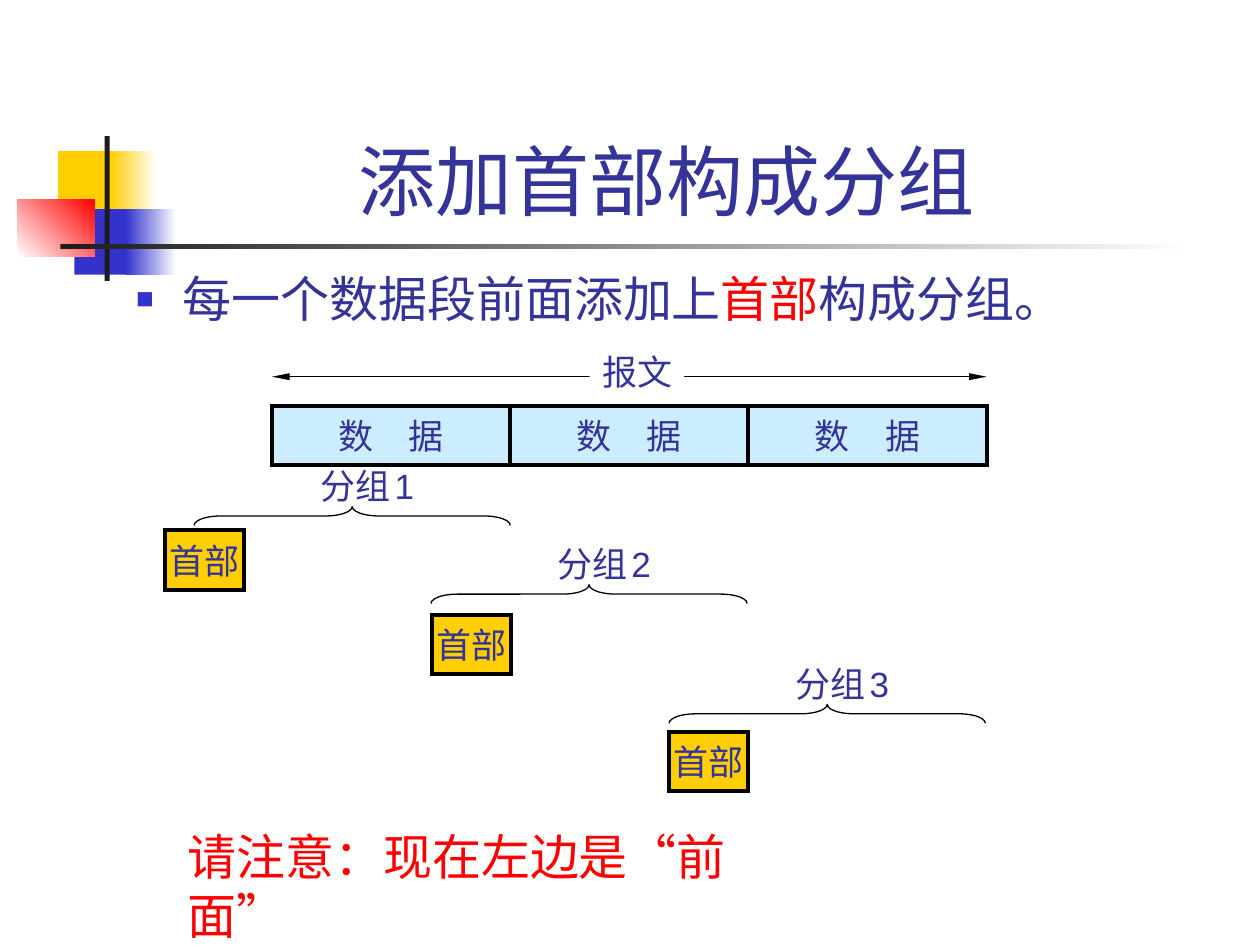
from dataclasses import dataclass
from typing import Optional

from lxml import etree
from pptx import Presentation
from pptx import util as u
from pptx.dml.color import RGBColor
from pptx.enum import shapes, text
from pptx.oxml import ns

NAVY = RGBColor(0x33, 0x33, 0x99)
BLUE = RGBColor(0x33, 0x33, 0xCC)
RED = RGBColor(0xFF, 0x00, 0x00)
YELLOW = RGBColor(0xFF, 0xCF, 0x01)
PALE_BLUE = RGBColor(0xCC, 0xEC, 0xFF)
CHARCOAL = RGBColor(0x1C, 0x1C, 0x1C)
BLACK = RGBColor(0, 0, 0)
WHITE = RGBColor(0xFF, 0xFF, 0xFF)

SEGMENT_LEFT, SEGMENT_TOP, SEGMENT_WIDTH = 2.16, 3.22, 1.89
BOX_HEIGHT, HEADER_WIDTH = 0.47, 0.63
BRACE_SPAN, BRACE_DEPTH = 2.51, 0.15


@dataclass
class Block:
    left: float
    top: float
    width: float
    height: float
    color: RGBColor
    fade_to: Optional[RGBColor] = None
    angle: float = 0


@dataclass
class Packet:
    number: int
    header_left: float
    header_top: float
    brace_left: float
    brace_top: float


@dataclass
class Piece:
    words: str
    size: float = 20
    font: str = "Roboto"
    color: RGBColor = NAVY


ORNAMENT = [
    Block(0.46, 1.2, 0.48, 0.52, YELLOW),
    Block(0.88, 1.2, 0.36, 0.52, YELLOW, WHITE),
    Block(0.59, 1.66, 0.46, 0.52, BLUE),
    Block(1, 1.66, 0.4, 0.52, BLUE, WHITE),
    Block(0.14, 1.58, 0.61, 0.46, WHITE, RED, 45),
    Block(0.83, 1.08, 0.04, 1.15, CHARCOAL),
    Block(0.48, 1.94, 9, 0.04, CHARCOAL, WHITE),
]

PACKETS = [
    Packet(1, 1.31, 4.21, 1.54, 4.02),
    Packet(2, 3.43, 4.88, 3.42, 4.64),
    Packet(3, 5.31, 5.81, 5.31, 5.59),
]


def inches(*lengths: float) -> list:
    return [u.Inches(length) for length in lengths]


def write(paragraph, pieces: list) -> None:
    for piece in pieces:
        run = paragraph.add_run()
        run.text = piece.words
        run.font.size = u.Pt(piece.size)
        run.font.name = piece.font
        run.font.color.rgb = piece.color


def draw_block(slide, block: Block):
    shape = slide.shapes.add_shape(
        shapes.MSO_SHAPE.RECTANGLE,
        *inches(block.left, block.top, block.width, block.height))
    shape.shadow.inherit = False
    shape.line.fill.background()
    if block.fade_to is None:
        shape.fill.solid()
        shape.fill.fore_color.rgb = block.color
    else:
        shape.fill.gradient()
        shape.fill.gradient_angle = block.angle
        for stop, color in zip(shape.fill.gradient_stops, (block.color, block.fade_to)):
            stop.color.rgb = color
    return shape


def draw_field(slide, block: Block, caption: str) -> None:
    field = draw_block(slide, block)
    field.line.color.rgb = BLACK
    field.line.width = u.Pt(2.25)
    etree.SubElement(field.line._get_or_add_ln(), ns.qn("a:miter")).set("lim", "800000")
    frame = field.text_frame
    frame.word_wrap = False
    frame.vertical_anchor = text.MSO_ANCHOR.MIDDLE
    frame.paragraphs[0].alignment = text.PP_ALIGN.CENTER
    write(frame.paragraphs[0], [Piece(caption)])


def draw_label(slide, left: float, top: float, width: float, height: float,
               pieces: list):
    label = slide.shapes.add_textbox(*inches(left, top, width, height))
    label.text_frame.word_wrap = True
    write(label.text_frame.paragraphs[0], pieces)
    return label


def draw_message_span(slide) -> None:
    right = SEGMENT_LEFT + 3 * SEGMENT_WIDTH
    span = slide.shapes.add_connector(
        shapes.MSO_CONNECTOR.STRAIGHT, *inches(SEGMENT_LEFT, 2.99, right, 2.99))
    span.line.color.rgb = BLACK
    span.line.width = u.Pt(0.75)
    for end in ("a:headEnd", "a:tailEnd"):
        arrow = etree.SubElement(span.line._get_or_add_ln(), ns.qn(end))
        arrow.set("type", "triangle")
        arrow.set("w", "sm")
        arrow.set("len", "lg")
    etree.SubElement(span._element.spPr, ns.qn("a:effectLst"))
    label = draw_label(slide, 4.68, 2.73, 0.75, 0.44,
                       [Piece("报文", font="Times New Roman")])
    label.text_frame.margin_right = 0
    label.fill.solid()
    label.fill.fore_color.rgb = WHITE


def draw_packet(slide, packet: Packet) -> None:
    draw_field(slide, Block(packet.header_left, packet.header_top,
                            HEADER_WIDTH, BOX_HEIGHT, YELLOW), "首部")
    # An upright left brace turned about its centre to point upwards
    middle = packet.brace_left + BRACE_SPAN / 2
    brace = slide.shapes.add_shape(
        shapes.MSO_SHAPE.LEFT_BRACE,
        *inches(middle - BRACE_DEPTH / 2,
                packet.brace_top + (BRACE_DEPTH - BRACE_SPAN) / 2,
                BRACE_DEPTH, BRACE_SPAN))
    brace.rotation = 90
    brace.adjustments[0] = 1.4
    brace.shadow.inherit = False
    brace.fill.background()
    brace.line.color.rgb = BLACK
    brace.line.width = u.Pt(0.75)
    label = draw_label(slide, middle - 0.35, packet.brace_top - 0.38, 0.98, 0.44,
                       [Piece("分组"), Piece(" ", 10, "Arial"),
                        Piece(str(packet.number), font="Arial")])
    label.text_frame.margin_right = 0


def place(holder, left: float, top: float, width: float, height: float):
    holder.left, holder.top, holder.width, holder.height = inches(left, top, width, height)
    holder.text_frame.auto_size = text.MSO_AUTO_SIZE.NONE
    return holder.text_frame


def fill_placeholders(slide) -> None:
    title = place(slide.shapes.title, 1.26, 0.24, 8.07, 1.6)
    title.vertical_anchor = text.MSO_ANCHOR.BOTTOM
    title.paragraphs[0].alignment = text.PP_ALIGN.CENTER
    write(title.paragraphs[0], [Piece("添加首部构成分组", 44, "Arial")])

    statement = place(slide.placeholders[1], 0.98, 2.08, 8.66, 4.5).paragraphs[0]
    properties = statement._p.get_or_add_pPr()
    properties.set("marL", str(u.Inches(0.37)))
    properties.set("indent", str(-u.Inches(0.37)))
    bullet_color = etree.SubElement(properties, ns.qn("a:buClr"))
    etree.SubElement(bullet_color, ns.qn("a:srgbClr")).set("val", str(BLUE))
    etree.SubElement(properties, ns.qn("a:buSzPct")).set("val", "60000")
    etree.SubElement(properties, ns.qn("a:buChar")).set("char", "■")
    statement.space_before = u.Pt(0)
    write(statement, [Piece("每一个数据段前面添加上", 28, "Arial"),
                      Piece("首部", 28, "Arial", RED),
                      Piece("构成分组。", 28, "Arial")])


def main() -> None:
    deck = Presentation()
    deck.slide_width, deck.slide_height = inches(10, 7.5)
    slide = deck.slides.add_slide(deck.slide_layouts[1])

    # Corner ornament, title and statement
    for block in ORNAMENT:
        draw_block(slide, block)
    fill_placeholders(slide)

    # Message cut into three data segments
    for index in range(3):
        left = SEGMENT_LEFT + index * SEGMENT_WIDTH
        draw_field(slide, Block(left, SEGMENT_TOP, SEGMENT_WIDTH, BOX_HEIGHT, PALE_BLUE),
                   "数　据")
    draw_message_span(slide)

    # Packets with their headers
    for packet in PACKETS:
        draw_packet(slide, packet)

    # Closing remark
    draw_label(slide, 1.39, 6.51, 4.75, 0.57,
               [Piece("请注意：现在左边是", 28, "Roboto", RED), Piece("“", 28, "Arial", RED),
                Piece("前面", 28, "Roboto", RED), Piece("”", 28, "Arial", RED)])

    deck.save("out.pptx")


if __name__ == "__main__":
    main()
